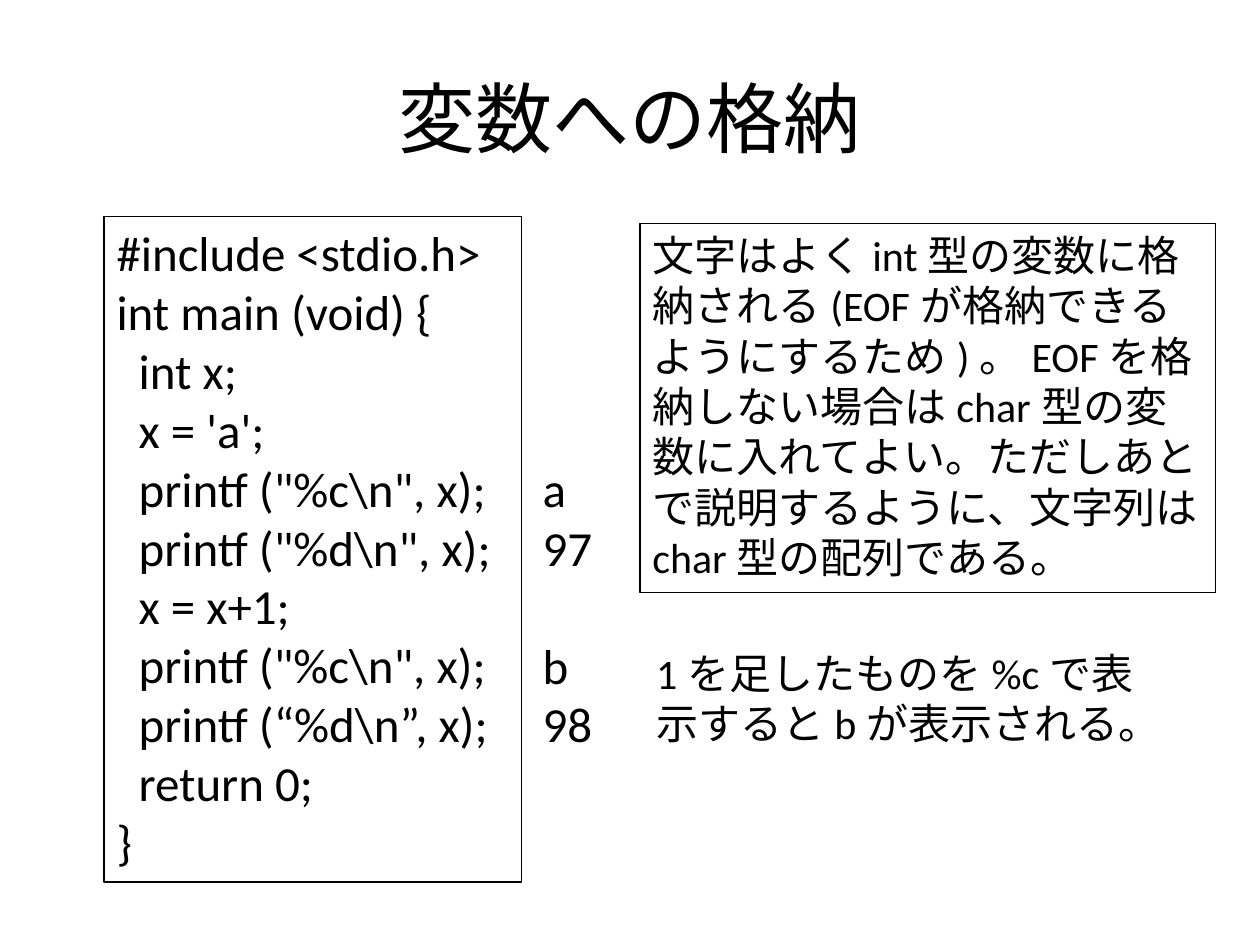
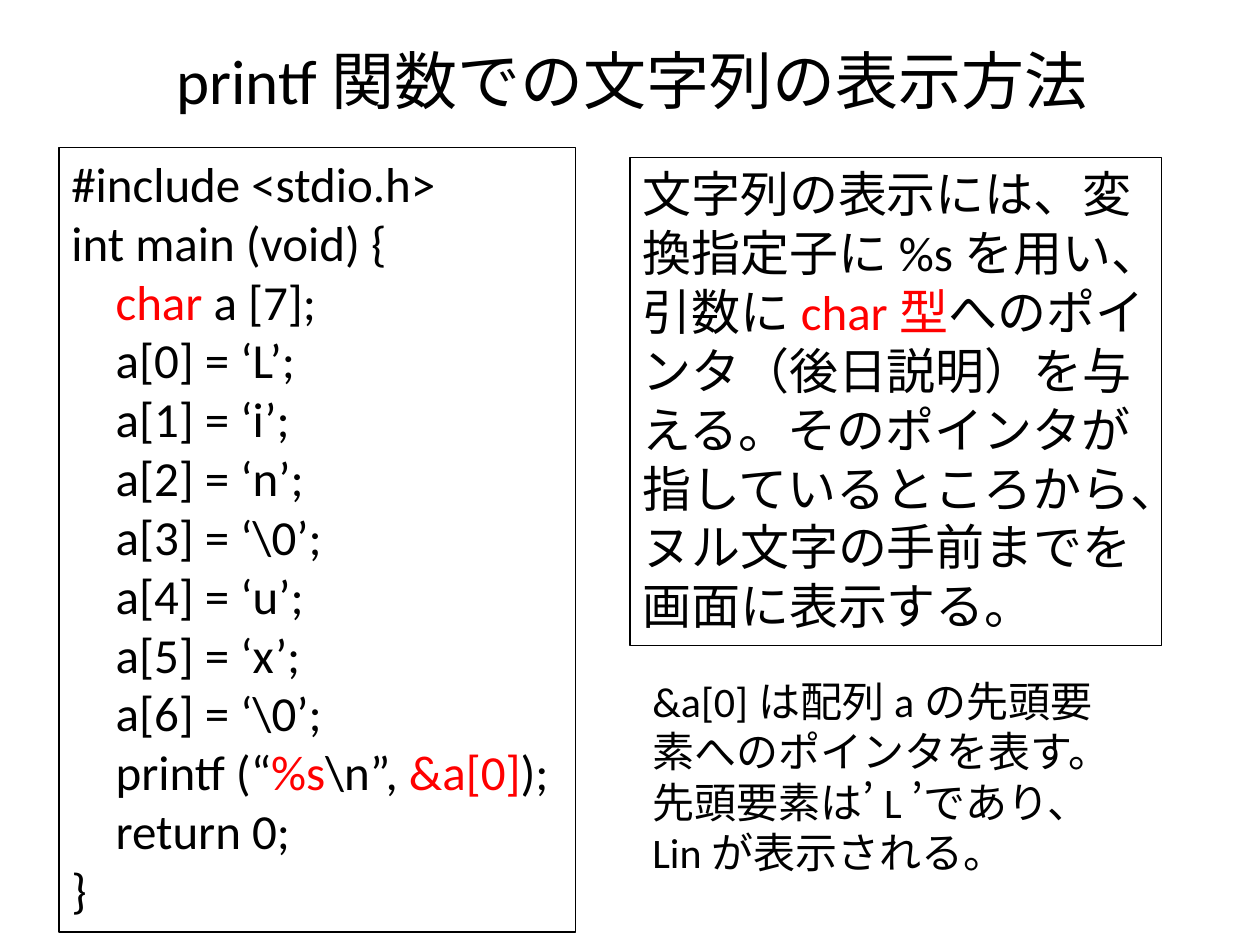
from pptx import Presentation
from pptx.dml.color import RGBColor
from pptx.enum.lang import MSO_LANGUAGE_ID
from pptx.enum.text import MSO_ANCHOR, MSO_AUTO_SIZE, PP_ALIGN
from pptx.util import Cm, Pt

# Shared style
FONT = "Calibri"
BLACK, RED = "000000", "FF0000"
CODE_SIZE, NOTE_SIZE = 28, 24
CODE_LINE = 33.6  # height of one line of code, in points
TITLE_ONLY = 5

# Wording: text between bars is red
STORE_CODE = r"""#include <stdio.h>
int main (void) {
  int x;
  x = 'a';
  printf ("%c\n", x);
  printf ("%d\n", x);
  x = x+1;
  printf ("%c\n", x);
  printf (“%d\n”, x);
  return 0;
}"""
STORE_RULE = ("文字はよくint型の変数に格納される(EOFが格納できるようにするため)。"
              "EOFを格納しない場合はchar型の変数に入れてよい。"
              "ただしあとで説明するように、文字列はchar型の配列である。")
STORE_NOTE = "1を足したものを%cで表示するとbが表示される。"

STRING_CODE = r"""#include <stdio.h>
int main (void) {
    |char| a [7];
    a[0] = ‘L’;
    a[1] = ‘i’;
    a[2] = ‘n’;
    a[3] = ‘\0’;
    a[4] = ‘u’;
    a[5] = ‘x’;
    a[6] = ‘\0’;
    printf (“|%s|\n”, |&a[0]|);
    return 0;
}"""
STRING_RULE = ("文字列の表示には、変換指定子に%sを用い、引数に|char型|へのポインタ"
               "（後日説明）を与える。そのポインタが指しているところから、"
               "ヌル文字の手前までを画面に表示する。")
STRING_NOTE = ("&a[0]は配列aの先頭要素へのポインタを表す。"
               "先頭要素は’L’であり、Linが表示される。")


def color(hex_text):
    return RGBColor.from_string(hex_text)


def write_line(para, line, size):
    """Add the runs of one line, every second piece in red."""
    for index, piece in enumerate(line.split("|")):
        if piece:
            span = para.add_run()
            span.text = piece
            span.font.name = FONT
            span.font.size = Pt(size)
            span.font.color.rgb = color(RED if index % 2 else BLACK)
            span.font.language_id = MSO_LANGUAGE_ID.JAPANESE


def add_title(page, area, text, size):
    title = page.shapes.title
    title.left, title.top, title.width, title.height = map(Cm, area)
    title.text_frame.vertical_anchor = MSO_ANCHOR.MIDDLE
    para = title.text_frame.paragraphs[0]
    para.alignment = PP_ALIGN.CENTER
    write_line(para, text, size)


def add_text(page, area, text, size, framed=False, wrap=True):
    """Place a text box with one paragraph per line and return its paragraphs."""
    box = page.shapes.add_textbox(*map(Cm, area))
    if framed:
        box.line.color.rgb = color(BLACK)
        box.line.width = Pt(0.75)
    frame = box.text_frame
    frame.word_wrap = wrap
    frame.auto_size = MSO_AUTO_SIZE.SHAPE_TO_FIT_TEXT
    for index, line in enumerate(text.split("\n")):
        para = frame.add_paragraph() if index else frame.paragraphs[0]
        write_line(para, line, size)
    return frame.paragraphs


def add_store_page(deck):
    page = deck.slides.add_slide(deck.slide_layouts[TITLE_ONLY])
    add_title(page, (1.27, 0.76, 22.86, 3.18), "変数への格納", 44)
    add_text(page, (2.1, 4.37, 8.41, 13.41), STORE_CODE, CODE_SIZE, framed=True)
    add_text(page, (12.9, 4.5, 11.6, 7.44), STORE_RULE, NOTE_SIZE, framed=True)
    add_text(page, (12.98, 12.93, 10.92, 2.31), STORE_NOTE, NOTE_SIZE)
    # Program output, with the line of "x = x+1;" left free
    output = add_text(page, (10.69, 9.12, 1.52, 6.25), "a\n97\nb\n98",
                      CODE_SIZE, wrap=False)
    output[2].space_before = Pt(CODE_LINE)


def add_string_page(deck):
    page = deck.slides.add_slide(deck.slide_layouts[TITLE_ONLY])
    add_title(page, (1.27, 0, 22.94, 3.18), "printf関数での文字列の表示方法", 36)
    add_text(page, (12.7, 3.18, 10.72, 9.83), STRING_RULE, CODE_SIZE, framed=True)
    add_text(page, (1.19, 2.97, 10.41, 15.82), STRING_CODE, CODE_SIZE, framed=True)
    add_text(page, (12.9, 13.49, 9.93, 4.37), STRING_NOTE, NOTE_SIZE)


def main():
    deck = Presentation()
    deck.slide_width, deck.slide_height = Cm(25.4), Cm(19.05)
    add_store_page(deck)
    add_string_page(deck)
    deck.save("out.pptx")


if __name__ == "__main__":
    main()
